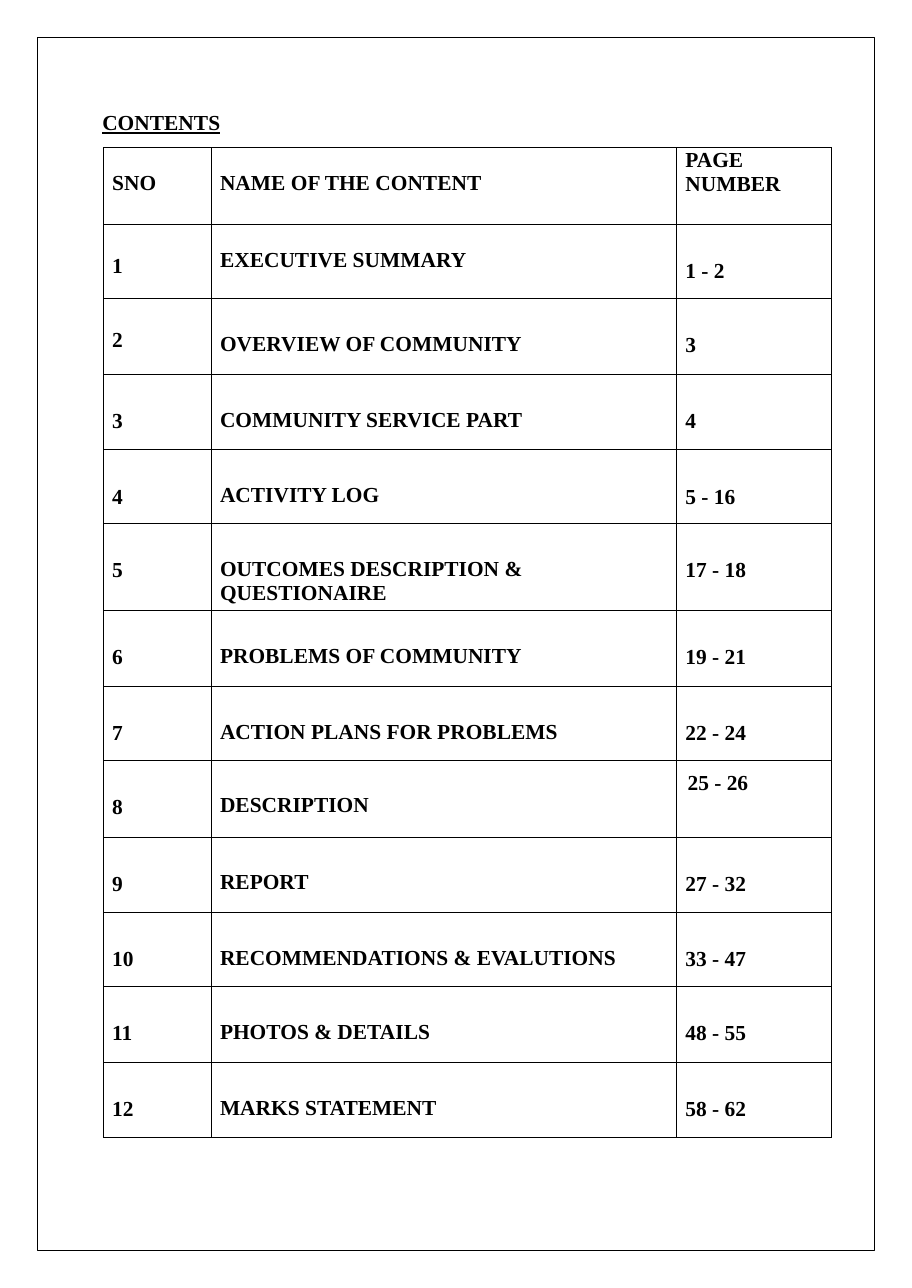
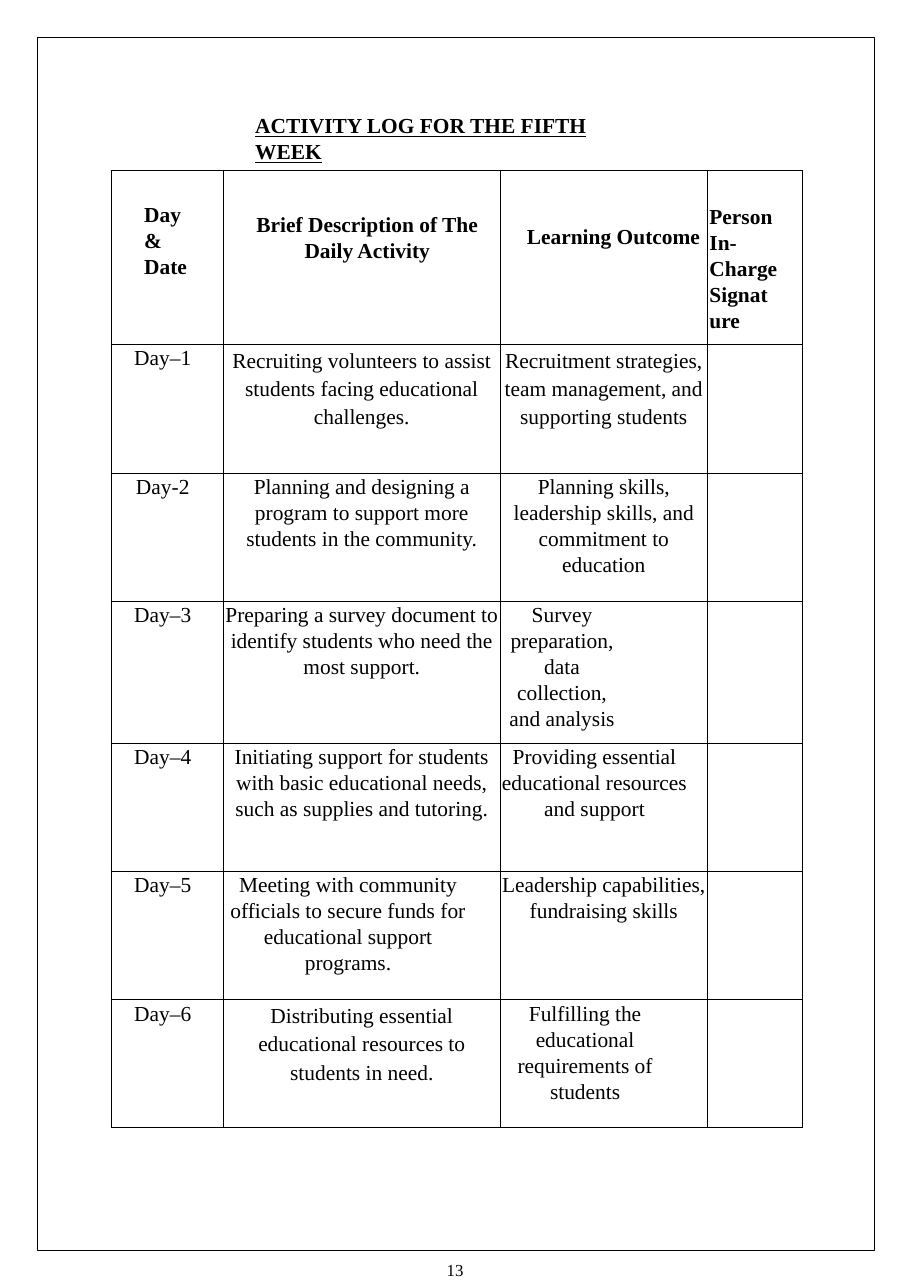
from collections import namedtuple

from lxml import etree
from pptx import Presentation
from pptx.dml.color import RGBColor
from pptx.enum.shapes import MSO_SHAPE
from pptx.enum.text import MSO_ANCHOR, MSO_AUTO_SIZE, PP_ALIGN
from pptx.oxml.ns import qn
from pptx.util import Inches, Pt

LEFT, CENTER = PP_ALIGN.LEFT, PP_ALIGN.CENTER
TOP = MSO_ANCHOR.TOP
NO_AUTOFIT = MSO_AUTO_SIZE.NONE
RECTANGLE = MSO_SHAPE.RECTANGLE
TITLE_ONLY = 5

FONT = "Times New Roman"
INK = "000000"
PAGE_WIDTH, PAGE_HEIGHT = 8.29, 11.71
FRAME_INSET = 0.34
LINE_WIDTH = 0.5
TEXT_SIZE = 14
LOOSE, WIDE = 17, 18.6

Cell = namedtuple("Cell", "text left top right align bold spacing",
                  defaults=(0.08, 0.32, 0, LEFT, True, None))

CONTENTS_HEADER = [
    Cell("SNO", top=0.22),
    Cell("NAME OF THE CONTENT", top=0.22),
    Cell("PAGE NUMBER", top=0.01),
]
CONTENTS = [
    ("EXECUTIVE SUMMARY", "1 - 2"),
    ("OVERVIEW OF COMMUNITY", "3"),
    ("COMMUNITY SERVICE PART", "4"),
    ("ACTIVITY LOG", "5 - 16"),
    ("OUTCOMES DESCRIPTION & QUESTIONAIRE", "17 - 18"),
    ("PROBLEMS OF COMMUNITY", "19 - 21"),
    ("ACTION PLANS FOR PROBLEMS", "22 - 24"),
    ("DESCRIPTION", "25 - 26"),
    ("REPORT", "27 - 32"),
    ("RECOMMENDATIONS & EVALUTIONS", "33 - 47"),
    ("PHOTOS & DETAILS", "48 - 55"),
    ("MARKS STATEMENT", "58 - 62"),
]
NUMBER_TOPS = {1: 0.27, 2: 0.28}
NAME_TOPS = {1: 0.22}
PAGE_PLACES = {8: (0.1, 0.11)}
CONTENTS_COLUMNS = [0.98, 4.23, 1.41]
CONTENTS_ROWS = [0.7, 0.67, 0.69, 0.69, 0.67, 0.79, 0.69, 0.67, 0.7, 0.69, 0.67, 0.69, 0.68]

LOG_HEADER = [
    Cell("Day & Date", 0.3, 0.28, 0.28, spacing=LOOSE),
    Cell("Brief Description of The Daily Activity", 0.2, 0.37, 0.1, CENTER, spacing=LOOSE),
    Cell("Learning Outcome", 0.24, 0.48, spacing=LOOSE),
    Cell("Person In- Charge Signature", 0.02, 0.3, 0.21, spacing=LOOSE),
]
LOG = [
    ("Day–1",
     ("Recruiting volunteers to assist students facing educational challenges.", 0.05, 0.05, WIDE),
     ("Recruitment strategies, team management, and supporting students", 0, 0, WIDE)),
    ("Day-2",
     ("Planning and designing a program to support more students in the community.",
      0.05, 0.05, LOOSE),
     ("Planning skills, leadership skills, and commitment to education", 0, 0, LOOSE)),
    ("Day–3",
     ("Preparing a survey document to identify students who need the most support.",
      0, 0, LOOSE),
     ("Survey preparation, data collection, and analysis", 0.03, 0.79, LOOSE)),
    ("Day–4",
     ("Initiating support for students with basic educational needs, "
      "such as supplies and tutoring.", 0.05, 0.05, LOOSE),
     ("Providing essential educational resources and support", 0, 0.17, LOOSE)),
    ("Day–5",
     ("Meeting with community officials to secure funds for educational support programs.",
      0, 0.25, LOOSE),
     ("Leadership capabilities, fundraising skills", 0, 0, LOOSE)),
    ("Day–6",
     ("Distributing essential educational resources to students in need.", 0.05, 0.05, WIDE),
     ("Fulfilling the educational requirements of students", 0, 0.34, LOOSE)),
]
LOG_COLUMNS = [1.02, 2.52, 1.88, 0.86]
LOG_ROWS = [1.58, 1.17, 1.17, 1.29, 1.16, 1.17, 1.16]


def color(hex_text):
    return RGBColor.from_string(hex_text)


def format_text(frame, size=TEXT_SIZE, bold=False, underline=False, align=LEFT, spacing=None):
    for para in frame.paragraphs:
        para.alignment = align
        if spacing:
            para.line_spacing = Pt(spacing)
        for span in para.runs:
            font = span.font
            font.name = FONT
            font.size = Pt(size)
            font.bold = bold
            font.underline = underline
            font.color.rgb = color(INK)


def clear_margins(frame):
    frame.margin_left = frame.margin_right = 0
    frame.margin_top = frame.margin_bottom = 0
    frame.word_wrap = True
    frame.auto_size = NO_AUTOFIT
    frame.vertical_anchor = TOP


def add_page(deck, title, left, top, width):
    page = deck.slides.add_slide(deck.slide_layouts[TITLE_ONLY])
    heading = page.shapes.title
    heading.left, heading.top = Inches(left), Inches(top)
    heading.width, heading.height = Inches(width), Inches(0.26)
    frame = heading.text_frame
    frame.text = title
    clear_margins(frame)
    format_text(frame, bold=True, underline=True, spacing=LOOSE)

    border = page.shapes.add_shape(
        RECTANGLE, Inches(FRAME_INSET), Inches(FRAME_INSET),
        Inches(PAGE_WIDTH - 2 * FRAME_INSET), Inches(PAGE_HEIGHT - 2 * FRAME_INSET))
    border.shadow.inherit = False
    border.fill.background()
    border.line.color.rgb = color(INK)
    border.line.width = Pt(LINE_WIDTH)
    return page


def add_borders(cell):
    properties = cell._tc.get_or_add_tcPr()
    for index, side in enumerate(("lnL", "lnR", "lnT", "lnB")):
        line = etree.Element(qn("a:" + side), w=str(int(Pt(LINE_WIDTH))))
        fill = etree.SubElement(line, qn("a:solidFill"))
        etree.SubElement(fill, qn("a:srgbClr"), val=INK)
        properties.insert(index, line)


def add_grid(page, left, top, columns, rows, content):
    table = page.shapes.add_table(
        len(rows), len(columns), Inches(left), Inches(top),
        Inches(sum(columns)), Inches(sum(rows))).table
    table.first_row = table.horz_banding = False
    for column, width in zip(table.columns, columns):
        column.width = Inches(width)
    for row, height, items in zip(table.rows, rows, content):
        row.height = Inches(height)
        for cell, item in zip(row.cells, items):
            cell.fill.background()
            add_borders(cell)
            cell.margin_left, cell.margin_right = Inches(item.left), Inches(item.right)
            cell.margin_top, cell.margin_bottom = Inches(item.top), 0
            cell.text_frame.text = item.text
            format_text(cell.text_frame, bold=item.bold, align=item.align, spacing=item.spacing)


def contents_row(number, name, pages):
    page_left, page_top = PAGE_PLACES.get(number, (0.08, 0.32))
    return [
        Cell(str(number), top=NUMBER_TOPS.get(number, 0.32)),
        Cell(name, top=NAME_TOPS.get(number, 0.31)),
        Cell(pages, page_left, page_top),
    ]


def log_row(day, *entries):
    cells = [Cell(text, left, 0, right, CENTER, False, spacing)
             for text, left, right, spacing in ((day, 0, 0.08, LOOSE), *entries)]
    return cells + [Cell("", 0, 0)]


def add_page_number(page, number):
    box = page.shapes.add_textbox(Inches(4.06), Inches(11.45), Inches(0.28), Inches(0.2))
    box.text_frame.text = number
    clear_margins(box.text_frame)
    format_text(box.text_frame, size=11)


def main():
    deck = Presentation()
    deck.slide_width, deck.slide_height = Inches(PAGE_WIDTH), Inches(PAGE_HEIGHT)

    page = add_page(deck, "CONTENTS", 0.93, 0.99, 1.2)
    rows = [contents_row(number, *entry) for number, entry in enumerate(CONTENTS, 1)]
    add_grid(page, 0.94, 1.34, CONTENTS_COLUMNS, CONTENTS_ROWS, [CONTENTS_HEADER] + rows)

    page = add_page(deck, "ACTIVITY LOG FOR THE FIFTH WEEK", 2.32, 1.02, 3.4)
    rows = [log_row(*entry) for entry in LOG]
    add_grid(page, 1.01, 1.55, LOG_COLUMNS, LOG_ROWS, [LOG_HEADER] + rows)
    add_page_number(page, "13")

    deck.save("out.pptx")


if __name__ == "__main__":
    main()
